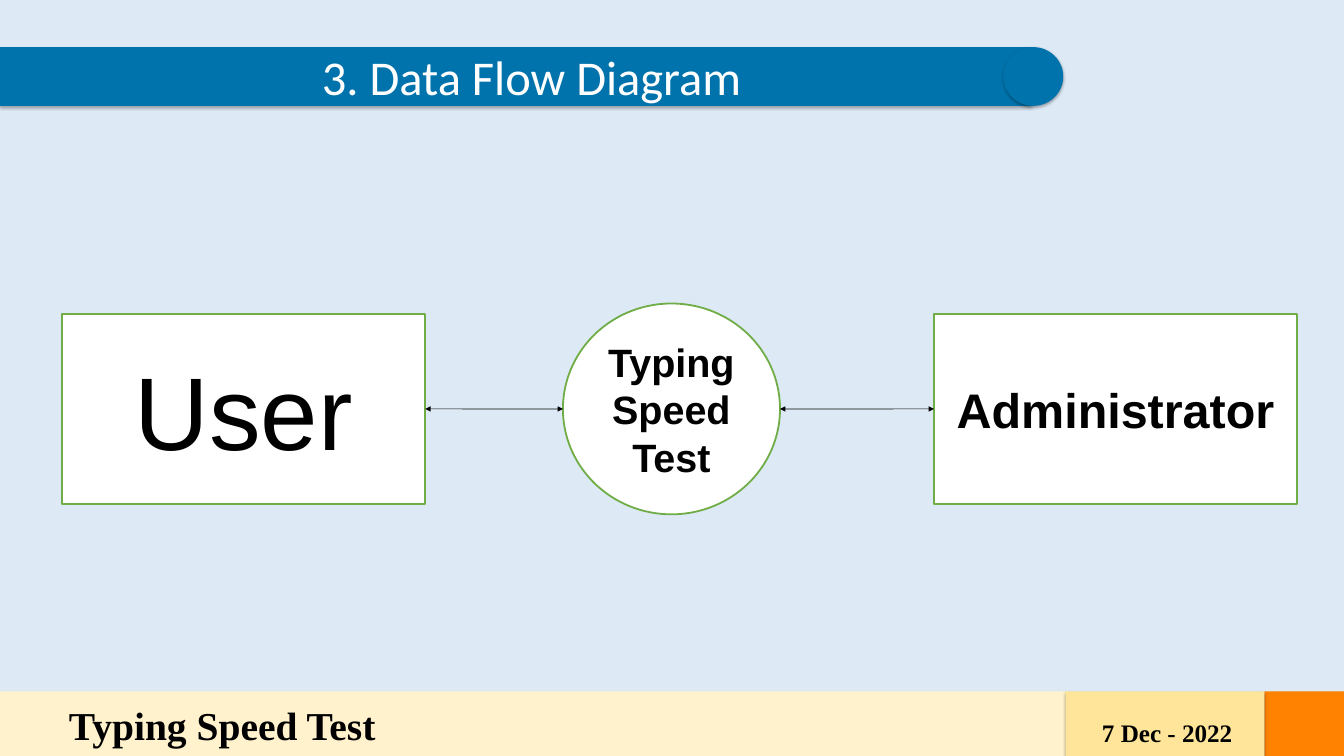
from dataclasses import dataclass

from lxml import etree
from pptx import Presentation
from pptx import util as u
from pptx.dml.color import RGBColor
from pptx.enum import shapes, text
from pptx.oxml.ns import qn

COLOURS = {
    "background": "DDEAF6",
    "banner": "0073AC",
    "footer": "FFF2CC",
    "date": "FEE599",
    "corner": "FF8200",
    "outline": "70AD47",
    "white": "FFFFFF",
    "black": "000000",
}
SLIDE_WIDTH, SLIDE_HEIGHT = 52.81, 29.69
BANNER_TOP, BANNER_HEIGHT = 1.85, 2.31
FOOTER_TOP = 27.15
FOOTER_HEIGHT = SLIDE_HEIGHT - FOOTER_TOP
FLOW_MIDDLE = 16.06
RECTANGLE = shapes.MSO_SHAPE.RECTANGLE
OVAL = shapes.MSO_SHAPE.OVAL
PROCESS = shapes.MSO_SHAPE.FLOWCHART_CONNECTOR
CENTRE, LEFT = text.PP_ALIGN.CENTER, text.PP_ALIGN.LEFT


@dataclass
class Box:
    left: float
    top: float
    width: float
    height: float

    def lengths(self) -> list[u.Cm]:
        return [u.Cm(n) for n in (self.left, self.top, self.width, self.height)]


@dataclass
class Panel:
    """A flat, shadowed piece of the banner or footer."""
    box: Box
    colour: str
    preset: shapes.MSO_SHAPE = RECTANGLE


@dataclass
class Node:
    """A step of the data flow, centred on the flow's middle line."""
    label: str
    left: float
    width: float
    height: float
    size: int
    bold: bool = True
    preset: shapes.MSO_SHAPE = RECTANGLE


@dataclass
class Caption:
    label: str
    box: Box
    size: int


BANNER = Panel(Box(0, BANNER_TOP, 40.51, BANNER_HEIGHT), "banner")
BANNER_END = Panel(Box(39.42, BANNER_TOP, 2.36, BANNER_HEIGHT), "banner", OVAL)
FOOTER = [
    Panel(Box(0, FOOTER_TOP, 41.86, FOOTER_HEIGHT), "footer"),
    Panel(Box(49.68, FOOTER_TOP, 3.13, FOOTER_HEIGHT), "corner"),
    Panel(Box(41.86, FOOTER_TOP, 7.82, FOOTER_HEIGHT), "date"),
]
USER = Node("User", 2.44, 14.27, 7.44, 115, bold=False)
ADMINISTRATOR = Node("Administrator", 36.7, 14.27, 7.44, 54)
TYPING_TEST = Node("Typing Speed Test", 22.12, 8.53, 8.28, 44, preset=PROCESS)
CAPTIONS = [
    Caption("Typing Speed Test", Box(2.46, 27.41, 27.3, 2.13), 44),
    Caption("7 Dec - 2022", Box(43.05, 28.04, 6.12, 1.45), 28),
]


def rgb(name: str) -> RGBColor:
    return RGBColor.from_string(COLOURS[name])


def write(shape, label: str, font: str, size: int, colour: str, bold: bool, align) -> None:
    frame = shape.text_frame
    frame.word_wrap = True
    frame.text = label
    paragraph = frame.paragraphs[0]
    paragraph.alignment = align
    for run in paragraph.runs:
        run.font.name = font
        run.font.size = u.Pt(size)
        run.font.bold = bold
        run.font.color.rgb = rgb(colour)


def add_filled(slide, preset, box: Box, colour: str):
    shape = slide.shapes.add_shape(preset, *box.lengths())
    shape.shadow.inherit = False
    shape.fill.solid()
    shape.fill.fore_color.rgb = rgb(colour)
    return shape


def add_panel(slide, panel: Panel):
    shape = add_filled(slide, panel.preset, panel.box, panel.colour)
    shape.line.fill.background()
    effects = shape._element.spPr.find(qn("a:effectLst"))
    shadow = etree.SubElement(
        effects, qn("a:outerShdw"), blurRad=str(u.Pt(3.5)), dist=str(u.Pt(2.2)),
        dir="5400000", algn="t", rotWithShape="0")
    tint = etree.SubElement(shadow, qn("a:srgbClr"), val=COLOURS["black"])
    etree.SubElement(tint, qn("a:alpha"), val="32000")
    return shape


def add_title(slide) -> None:
    banner = add_panel(slide, BANNER)
    write(banner, "3. Data Flow Diagram", "Calibri", 54, "white", False, CENTRE)
    frame = banner.text_frame
    frame.vertical_anchor = text.MSO_ANCHOR.TOP
    frame.margin_left = frame.margin_right = 0
    frame.margin_top = frame.margin_bottom = 0
    indent = frame.paragraphs[0]._p.get_or_add_pPr()
    indent.set("marL", str(u.Cm(1.27)))
    indent.set("indent", "0")
    add_panel(slide, BANNER_END)


def add_node(slide, node: Node):
    box = Box(node.left, FLOW_MIDDLE - node.height / 2, node.width, node.height)
    shape = add_filled(slide, node.preset, box, "white")
    shape.line.color.rgb = rgb("outline")
    shape.line.width = u.Pt(2)
    write(shape, node.label, "Arial", node.size, "black", node.bold, CENTRE)
    shape.text_frame.vertical_anchor = text.MSO_ANCHOR.MIDDLE
    return shape


def add_flow(slide, start: float, end: float):
    """Draw a two-headed arrow along the middle line."""
    middle = u.Cm(FLOW_MIDDLE)
    flow = slide.shapes.add_connector(
        shapes.MSO_CONNECTOR.STRAIGHT, u.Cm(start), middle, u.Cm(end), middle)
    flow.line.color.rgb = rgb("black")
    flow.line.width = u.Pt(0.75)
    properties = flow._element.spPr
    for tip in ("a:headEnd", "a:tailEnd"):
        etree.SubElement(properties.find(qn("a:ln")), qn(tip), type="triangle")
    etree.SubElement(properties, qn("a:effectLst"))
    return flow


def add_caption(slide, caption: Caption) -> None:
    box = slide.shapes.add_textbox(*caption.box.lengths())
    write(box, caption.label, "Times New Roman", caption.size, "black", True, LEFT)


def main() -> None:
    deck = Presentation()
    deck.slide_width, deck.slide_height = u.Cm(SLIDE_WIDTH), u.Cm(SLIDE_HEIGHT)
    slide = deck.slides.add_slide(deck.slide_layouts[6])
    slide.background.fill.solid()
    slide.background.fill.fore_color.rgb = rgb("background")

    add_title(slide)
    user = add_node(slide, USER)
    administrator = add_node(slide, ADMINISTRATOR)
    add_node(slide, TYPING_TEST)

    test_right = TYPING_TEST.left + TYPING_TEST.width
    to_administrator = add_flow(slide, test_right, ADMINISTRATOR.left)
    to_administrator.end_connect(administrator, 1)
    from_user = add_flow(slide, USER.left + USER.width, TYPING_TEST.left)
    from_user.begin_connect(user, 3)

    for panel in FOOTER:
        add_panel(slide, panel)
    for caption in CAPTIONS:
        add_caption(slide, caption)
    deck.save("out.pptx")


if __name__ == "__main__":
    main()
